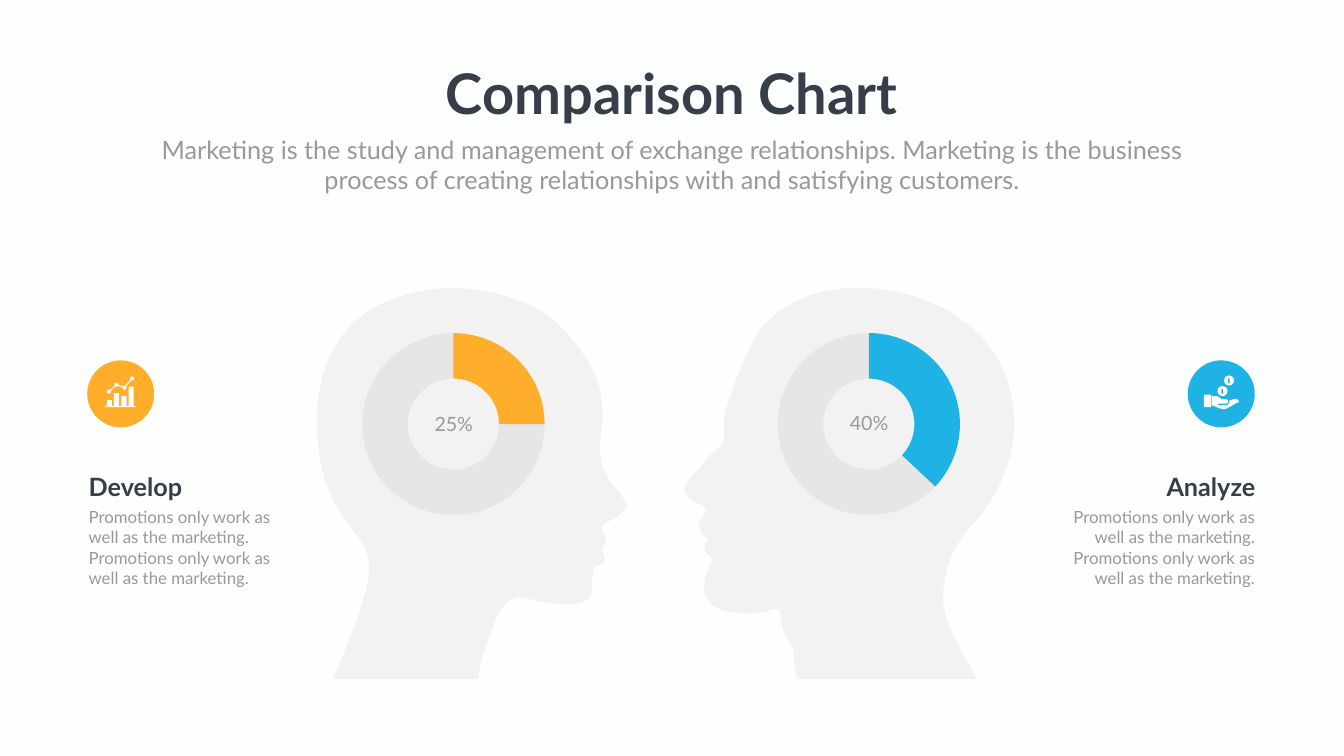
from dataclasses import dataclass

from lxml import etree
from pptx import Presentation
from pptx import util as u
from pptx.chart.data import CategoryChartData
from pptx.dml.color import RGBColor
from pptx.enum import chart as charts, shapes, text
from pptx.oxml.ns import qn
from pptx.util import Inches

PAPER = RGBColor(0xFD, 0xFF, 0xFE)
INK = RGBColor(0x35, 0x3E, 0x49)
GREY = RGBColor(0x98, 0x99, 0x98)
HEAD_GREY = RGBColor(0xF2, 0xF2, 0xF2)
RING_GREY = RGBColor(0x80, 0x80, 0x80)
ORANGE = RGBColor(0xFF, 0xAE, 0x2B)
BLUE = RGBColor(0x1E, 0xB2, 0xE5)
WHITE = RGBColor(0xFF, 0xFF, 0xFF)

TITLE = {"size": u.Pt(80), "bold": True, "color": INK}
SUBTITLE = {"size": u.Pt(36), "bold": False, "color": GREY}
HEADING = {"size": u.Pt(36), "bold": True, "color": INK}
BODY = {"size": u.Pt(24), "bold": False, "color": GREY}
PERCENT = {"size": u.Pt(28), "bold": False, "color": GREY}
LEFT, CENTER, RIGHT = text.PP_ALIGN.LEFT, text.PP_ALIGN.CENTER, text.PP_ALIGN.RIGHT

# Outlines: a start point, then (x, y) lines and (x1, y1, x2, y2, x, y) curves.
LEFT_HEAD = [
    (10.96, 6.34), (11.42, 6.72, 11.83, 7.35, 11.89, 7.71),
    (11.97, 8.06, 11.97, 8.32, 11.91, 8.68), (11.87, 9.03, 11.93, 9.35, 12.17, 9.63),
    (12.39, 9.9, 12.53, 10.06, 12.31, 10.2), (12.09, 10.36, 11.89, 10.4, 11.95, 10.52),
    (12.01, 10.66, 12.05, 10.7, 11.99, 10.79), (11.95, 10.87, 11.91, 10.89, 11.91, 10.89),
    (11.91, 10.89, 12.05, 11.07, 11.97, 11.17), (11.91, 11.25, 11.78, 11.17, 11.76, 11.37),
    (11.72, 11.55, 11.83, 11.81, 11.58, 11.94), (11.34, 12.06, 10.75, 11.94, 10.49, 11.88),
    (10.25, 11.82, 10.01, 11.82, 9.79, 12.4), (9.66, 12.76, 9.52, 13.13, 9.48, 13.47),
    (6.61, 13.47), (6.88, 12.81, 7.44, 11.57, 7.3, 11.05),
    (7.16, 10.5, 6.57, 10.26, 6.37, 9.23), (6.17, 8.22, 6.23, 6.68, 7.54, 6.04),
    (8.86, 5.41, 10.29, 5.8, 10.96, 6.34),
]
RIGHT_HEAD = [
    (14.85, 6.97), (14.71, 7.19, 14.33, 8.22, 14.35, 8.42),
    (14.37, 8.58, 14.41, 8.76, 14.25, 8.88), (14.07, 9.01, 13.94, 9.21, 13.8, 9.37),
    (13.66, 9.53, 13.48, 9.69, 13.66, 9.86), (13.82, 10.04, 14.01, 9.98, 14, 10.14),
    (13.97, 10.3, 13.82, 10.3, 13.88, 10.48), (13.95, 10.68, 14.05, 10.68, 14.05, 10.68),
    (14.05, 10.68, 13.92, 10.85, 14, 10.95), (14.07, 11.03, 14.15, 11.07, 14.11, 11.17),
    (14.07, 11.29, 13.84, 11.65, 14.07, 11.94), (14.31, 12.24, 15, 12.18, 15.18, 12.14),
    (15.36, 12.08, 15.46, 12, 15.5, 12.3), (15.52, 12.6, 15.72, 12.78, 15.74, 12.93),
    (15.76, 13.09, 15.74, 13.23, 15.82, 13.47), (19.38, 13.47),
    (19.08, 12.91, 18.65, 12.3, 18.71, 11.73), (18.77, 11.07, 18.98, 10.76, 19.4, 10.28),
    (19.83, 9.79, 20.49, 8.56, 19.86, 7.25), (19.22, 5.94, 17.5, 5.57, 16.51, 5.75),
    (15.52, 5.92, 15.02, 6.48, 14.85, 6.97),
]
HAND = [
    (24.57, 7.95), (24.54, 7.92, 24.52, 7.91, 24.47, 7.92), (24.38, 7.95),
    (24.38, 7.98, 24.38, 8, 24.37, 8.01), (24.36, 8.03, 24.34, 8.04, 24.32, 8.04),
    (24.17, 8.04), (24.16, 8.02), (24.17, 8.01), (24.32, 8.01),
    (24.33, 8.01, 24.34, 8, 24.35, 7.99), (24.36, 7.98, 24.36, 7.98, 24.36, 7.96),
    (24.36, 7.95, 24.35, 7.92, 24.32, 7.92), (24.23, 7.92),
    (24.21, 7.9, 24.17, 7.86, 24.1, 7.86), (24.06, 7.86), (24.04, 7.87), (24.04, 8.04),
    (24.1, 8.06, 24.13, 8.08, 24.16, 8.09), (24.22, 8.11, 24.25, 8.12, 24.28, 8.12),
    (24.31, 8.12, 24.34, 8.1, 24.4, 8.07), (24.44, 8.05, 24.49, 8.01, 24.57, 7.98),
    (24.58, 7.96),
]


@dataclass
class Side:
    color: RGBColor
    head: list
    chart_left: float
    share: int
    label: str
    label_top: float
    heading: str
    heading_left: float
    body_left: float
    body_width: float
    align: text.PP_ALIGN
    badge_left: float


SIDES = [
    Side(ORANGE, LEFT_HEAD, 6.92, 25, "25%", 8.12, "Develop", 1.66, 1.66, 3.85, LEFT, 1.73),
    Side(BLUE, RIGHT_HEAD, 15.16, 37, "40%", 8.1, "Analyze", 20.72, 20.89, 4.1, RIGHT, 23.56),
]


def place(box, left: float, top: float, width: float, height: float) -> None:
    box.left, box.top, box.width, box.height = map(Inches, (left, top, width, height))


def write(box, words: str, style: dict, align: text.PP_ALIGN) -> None:
    frame = box.text_frame
    frame.word_wrap = True
    frame.auto_size = text.MSO_AUTO_SIZE.NONE
    frame.vertical_anchor = text.MSO_ANCHOR.TOP
    para = frame.paragraphs[0]
    para.alignment, para.space_before = align, u.Pt(0)
    span = para.add_run()
    span.text = words
    span.font.name = "Lato"
    for name, value in style.items():
        if name == "color":
            span.font.color.rgb = value
        else:
            setattr(span.font, name, value)


def add_text(page, area: tuple, words: str, style: dict, align: text.PP_ALIGN) -> None:
    write(page.shapes.add_textbox(*map(Inches, area)), words, style, align)


def paint(shape, color: RGBColor) -> None:
    shape.shadow.inherit = False
    shape.fill.solid()
    shape.fill.fore_color.rgb = color
    shape.line.fill.background()


def add_preset(page, kind, area: tuple, color: RGBColor) -> None:
    paint(page.shapes.add_shape(kind, *map(Inches, area)), color)


def add_outline(page, outline: list, color: RGBColor, steps: int = 12) -> None:
    """Draw a closed outline, with each curve as a run of short lines."""
    points = [outline[0]]
    for step in outline[1:]:
        if len(step) == 2:
            points.append(step)
            continue
        x0, y0 = points[-1]
        x1, y1, x2, y2, x3, y3 = step
        for t in (i / steps for i in range(1, steps + 1)):
            a, b, c, d = (1 - t) ** 3, 3 * t * (1 - t) ** 2, 3 * t * t * (1 - t), t ** 3
            points.append((a * x0 + b * x1 + c * x2 + d * x3, a * y0 + b * y1 + c * y2 + d * y3))
    corners = [(Inches(x), Inches(y)) for x, y in points]
    builder = page.shapes.build_freeform(*corners[0])
    builder.add_line_segments(corners[1:], close=True)
    paint(builder.convert_to_shape(), color)


def add_ring(page, side: Side) -> None:
    data = CategoryChartData()
    data.categories = ["1", "2"]
    data.add_series("Series 1", (side.share, 100 - side.share))
    area = map(Inches, (side.chart_left, 6.47, 4.15, 3.89))
    chart = page.shapes.add_chart(charts.XL_CHART_TYPE.DOUGHNUT, *area, data).chart
    chart.has_legend = chart.has_title = False
    chart.font.name, chart.font.size = "Calibri", u.Pt(10)
    chart.font.color.rgb = GREY
    plot = chart.plots[0]
    plot.vary_by_categories = False
    for index, color in enumerate((side.color, RING_GREY)):
        part = plot.series[0].points[index].format
        part.fill.solid()
        part.fill.fore_color.rgb = color
        part.line.fill.background()
    for node in chart.element.iter(qn("a:srgbClr")):
        if node.get("val") == str(RING_GREY):
            etree.SubElement(node, qn("a:alpha")).set("val", "10000")
    for node in chart.element.iter(qn("c:holeSize")):
        node.set("val", "80")


def add_growth_icon(page) -> None:
    base, floor, bar = 8.06, 8.08, 0.1
    outline = [(2.08, floor), (2.08, base)]
    for left, top in ((2.12, 7.94), (2.26, 7.8), (2.41, 7.86), (2.55, 7.67)):
        outline += [(left, base), (left, top), (left + bar, top), (left + bar, base)]
    add_outline(page, outline + [(2.69, base), (2.69, floor)], WHITE)
    dots = [(2.16, 7.77), (2.31, 7.63), (2.47, 7.69), (2.62, 7.51)]
    for x, y in dots:
        add_preset(page, shapes.MSO_SHAPE.OVAL, (x - 0.04, y - 0.04, 0.08, 0.08), WHITE)
    for start, end in zip(dots, dots[1:]):
        line = page.shapes.add_connector(shapes.MSO_CONNECTOR.STRAIGHT, *map(Inches, start + end))
        line.line.color.rgb, line.line.width = WHITE, u.Pt(1.5)
        etree.SubElement(line.element.spPr, qn("a:effectLst"))


def add_savings_icon(page) -> None:
    add_preset(page, shapes.MSO_SHAPE.ROUNDED_RECTANGLE, (23.88, 7.83, 0.15, 0.25), WHITE)
    add_outline(page, HAND, WHITE)
    for x, y in ((24.38, 7.55), (24.25, 7.76)):
        add_preset(page, shapes.MSO_SHAPE.OVAL, (x - 0.1, y - 0.1, 0.2, 0.2), WHITE)
        add_preset(page, shapes.MSO_SHAPE.ROUNDED_RECTANGLE, (x - 0.02, y - 0.04, 0.03, 0.09), BLUE)


def main() -> None:
    deck = Presentation()
    deck.slide_width, deck.slide_height = Inches(26.66), Inches(15)
    page = deck.slides.add_slide(deck.slide_layouts[1])
    page.background.fill.solid()
    page.background.fill.fore_color.rgb = PAPER

    title, subtitle = page.placeholders
    place(title, 8.67, 1.12, 9.31, 1.45)
    write(title, "Comparison Chart", TITLE, CENTER)
    place(subtitle, 2.92, 2.61, 20.82, 1.31)
    props = subtitle.text_frame.paragraphs[0]._p.get_or_add_pPr()
    props.set("marL", "0")
    props.set("indent", "0")
    etree.SubElement(props, qn("a:buNone"))
    write(subtitle, "Marketing is the study and management of exchange relationships. Marketing is "
          "the business process of creating relationships with and satisfying customers.",
          SUBTITLE, CENTER)

    promotion = " ".join(["Promotions only work as well as the marketing."] * 2)
    for side in SIDES:
        add_outline(page, side.head, HEAD_GREY)
        add_ring(page, side)
        add_text(page, (side.chart_left + 1.1, side.label_top, 1.96, 0.63), side.label, PERCENT, CENTER)
        add_text(page, (side.body_left, 10.01, side.body_width, 1.72), promotion, BODY, side.align)
        add_text(page, (side.heading_left, 9.31, 4.28, 0.71), side.heading, HEADING, side.align)
        add_preset(page, shapes.MSO_SHAPE.OVAL, (side.badge_left, 7.15, 1.33, 1.33), side.color)
    add_growth_icon(page)
    add_savings_icon(page)
    deck.save("out.pptx")


if __name__ == "__main__":
    main()
